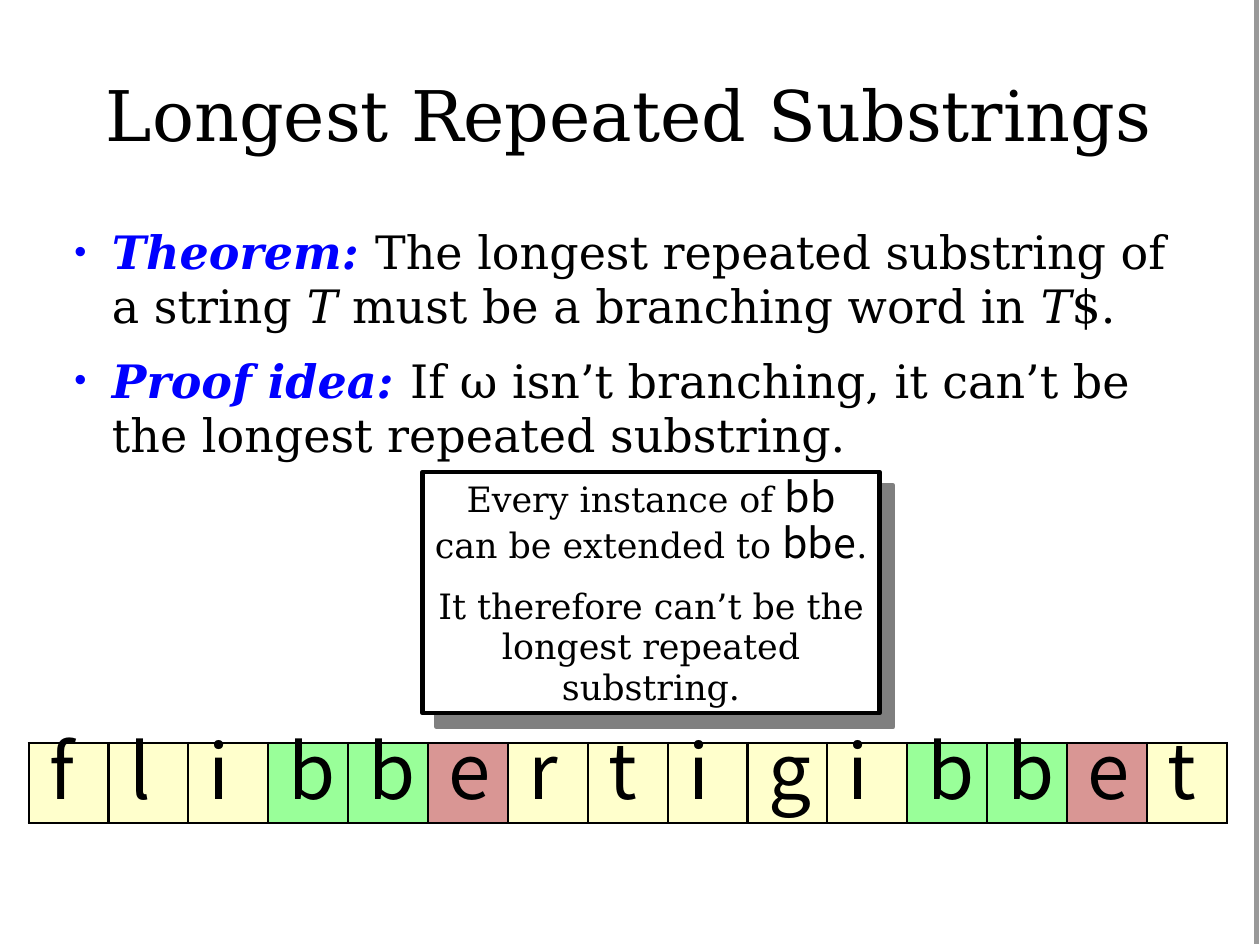
import pptx
import pptx.dml.color
import pptx.enum.shapes
import pptx.enum.text
import pptx.oxml
import pptx.oxml.ns
import pptx.util
from lxml import etree

RGBColor = pptx.dml.color.RGBColor
BLACK = RGBColor(0x00, 0x00, 0x00)
WHITE = RGBColor(0xFF, 0xFF, 0xFF)
BLUE = RGBColor(0x00, 0x00, 0xFF)
SHADOW_GRAY = RGBColor(0x7F, 0x7F, 0x7F)
EDGE_GRAY = RGBColor(0x99, 0x99, 0x99)
CREAM = RGBColor(0xFF, 0xFF, 0xCC)
GREEN = RGBColor(0x99, 0xFF, 0x99)
ROSE = RGBColor(0xD9, 0x96, 0x94)

SERIF = "DejaVu Serif"
LETTERS = "Noto Sans CJK SC"
WIDTH = pptx.util.Inches(11.03)
HEIGHT = pptx.util.Inches(8.26)
HEAVY = pptx.util.Pt(2.89)

WORD = "flibbertigibbet"
LETTER_FILLS = {"b": GREEN, "e": ROSE}

# Each statement is a list of (text, style) runs.
STATEMENTS = [
    [("Theorem: ", "key"), ("The longest repeated substring of a string ", ""),
     ("T", "variable"), (" must be a branching word in ", ""),
     ("T", "variable"), ("$.", "")],
    [("Proof idea: ", "key"),
     ("If ω isn’t branching, it can’t be the longest repeated substring.", "")],
]

# Each paragraph is (line spacing, space before, runs of (text, font, size)).
REASONS = [
    (29, 0, [("Every instance of ", SERIF, 22), ("bb", LETTERS, 26)]),
    (29, 0, [("can be extended to ", SERIF, 22), ("bbe", LETTERS, 26),
             (".", SERIF, 22)]),
    (25.6, 12, [("It therefore can’t be the longest repeated substring.",
                 SERIF, 22)]),
]


def place(left, top, width, height):
    """Turn percentages of the slide into a box in EMU."""
    return (round(WIDTH * left / 100), round(HEIGHT * top / 100),
            round(WIDTH * width / 100), round(HEIGHT * height / 100))


def prepare_frame(frame, top_inset=0):
    frame.word_wrap = True
    frame.vertical_anchor = pptx.enum.text.MSO_ANCHOR.TOP
    frame.margin_left = frame.margin_right = frame.margin_bottom = 0
    frame.margin_top = pptx.util.Inches(top_inset)
    return frame


def add_run(paragraph, text, font, size, color=BLACK):
    run = paragraph.add_run()
    run.text = text
    run.font.name = font
    run.font.size = pptx.util.Pt(size)
    run.font.color.rgb = color
    return run


def next_paragraph(frame, index):
    return frame.add_paragraph() if index else frame.paragraphs[0]


def add_bullet(paragraph):
    props = paragraph._p.get_or_add_pPr()
    props.set("marL", str(pptx.util.Inches(0.39)))
    props.set("indent", str(-pptx.util.Inches(0.33)))
    for tag, attribute, value in [("a:buSzPct", "val", "75000"),
                                  ("a:buFont", "typeface", "Arial"),
                                  ("a:buChar", "char", "•")]:
        etree.SubElement(props, pptx.oxml.ns.qn(tag)).set(attribute, value)


def add_border(cell):
    props = cell._tc.get_or_add_tcPr()
    for position, side in enumerate(("lnL", "lnR", "lnT", "lnB")):
        props.insert(position, pptx.oxml.parse_xml(
            f'<a:{side} {pptx.oxml.ns.nsdecls("a")} w="{pptx.util.Pt(1.5)}">'
            f'<a:solidFill><a:srgbClr val="{BLACK}"/></a:solidFill></a:{side}>'))


def add_edge(slide, x):
    left, top, _, height = place(x, 0, 0, 100)
    edge = slide.shapes.add_connector(
        pptx.enum.shapes.MSO_CONNECTOR.STRAIGHT, left, top, left, top + height)
    edge.line.color.rgb = EDGE_GRAY
    edge.line.width = HEAVY
    etree.SubElement(edge._element.spPr, pptx.oxml.ns.qn("a:effectLst"))


def add_title(slide, box):
    frame = prepare_frame(slide.shapes.add_textbox(*box).text_frame, 0.02)
    add_run(frame.paragraphs[0], "Longest Repeated Substrings", SERIF, 44)


def add_statements(slide, box):
    frame = prepare_frame(slide.shapes.add_textbox(*box).text_frame, 0.08)
    for index, statement in enumerate(STATEMENTS):
        paragraph = next_paragraph(frame, index)
        paragraph.line_spacing = pptx.util.Pt(34)
        paragraph.space_before = pptx.util.Pt(13 if index else 0)
        add_bullet(paragraph)
        for text, style in statement:
            run = add_run(paragraph, text, SERIF, 29,
                          BLUE if style == "key" else BLACK)
            run.font.bold = style == "key"
            run.font.italic = style in ("key", "variable")


def add_panel(slide, box, fill, line):
    panel = slide.shapes.add_shape(
        pptx.enum.shapes.MSO_SHAPE.RECTANGLE, *box)
    panel.shadow.inherit = False
    panel.fill.solid()
    panel.fill.fore_color.rgb = fill
    panel.line.color.rgb = line
    panel.line.width = HEAVY
    return panel


def add_callout(slide, box):
    """Draw the explanation on top of its offset gray shadow."""
    left, top, width, height = box
    offset = pptx.util.Inches(0.12)
    add_panel(slide, (left + offset, top + offset, width, height),
              SHADOW_GRAY, SHADOW_GRAY)
    explanation = add_panel(slide, box, WHITE, BLACK)
    frame = prepare_frame(explanation.text_frame, 0.02)
    for index, (spacing, before, runs) in enumerate(REASONS):
        paragraph = next_paragraph(frame, index)
        paragraph.alignment = pptx.enum.text.PP_ALIGN.CENTER
        paragraph.line_spacing = pptx.util.Pt(spacing)
        paragraph.space_before = pptx.util.Pt(before)
        for text, font, size in runs:
            add_run(paragraph, text, font, size)


def add_word(slide, box):
    """Spell the word in a one-row table, one letter a cell."""
    table = slide.shapes.add_table(1, len(WORD), *box).table
    table.first_row = table.horz_banding = False
    for index, letter in enumerate(WORD):
        table.columns[index].width = round(box[2] / len(WORD))
        cell = table.cell(0, index)
        cell.margin_left = pptx.util.Inches(0.18)
        cell.margin_right = cell.margin_top = cell.margin_bottom = 0
        cell.fill.solid()
        cell.fill.fore_color.rgb = LETTER_FILLS.get(letter, CREAM)
        add_border(cell)
        paragraph = cell.text_frame.paragraphs[0]
        paragraph.line_spacing = pptx.util.Pt(49.4)
        add_run(paragraph, letter, LETTERS, 48)


def main():
    deck = pptx.Presentation()
    deck.slide_width, deck.slide_height = WIDTH, HEIGHT
    slide = deck.slides.add_slide(deck.slide_layouts[6])
    add_edge(slide, 99.73)
    add_word(slide, place(2.27, 78.69, 95.1, 8.47))
    add_title(slide, place(8.4, 7.38, 83.1, 9.2))
    add_callout(slide, place(33.54, 50, 36.26, 25.54))
    add_statements(slide, place(5.35, 22.88, 89.2, 25.8))
    deck.save("out.pptx")


if __name__ == "__main__":
    main()
